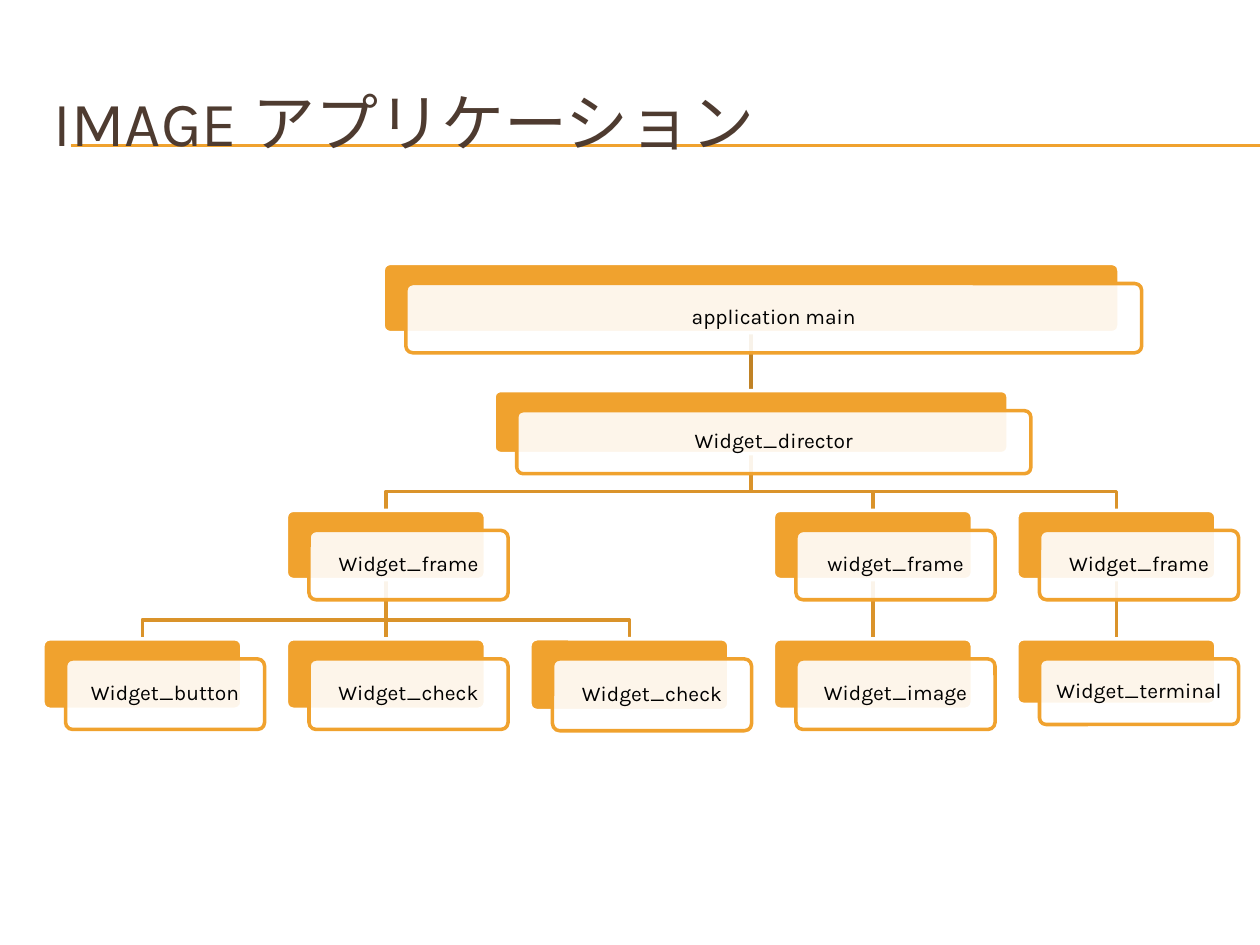
import pptx
import pptx.util
import pptx.dml.color
import pptx.enum.shapes
import pptx.enum.text
import pptx.oxml.ns
import pptx.oxml.xmlchemy
from pptx.util import Inches

HEX = {"gold": "F0A22E", "link": "DA932A", "stem": "C08225",
       "white": "FFFFFF", "black": "000000", "brown": "4E3B30"}
FONT = "Karla"
KIND = pptx.enum.shapes.MSO_SHAPE.ROUNDED_RECTANGLE
STRAIGHT = pptx.enum.shapes.MSO_CONNECTOR.STRAIGHT
ALIGN = pptx.enum.text.PP_ALIGN
MIDDLE = pptx.enum.text.MSO_ANCHOR.MIDDLE


def paint(shape, edge, width, fill=None):
    """Set line and fill, and drop the shadow."""
    shape.line.color.rgb = pptx.dml.color.RGBColor.from_string(HEX[edge])
    shape.line.width = pptx.util.Pt(width)
    if fill:
        shape.fill.solid()
        shape.fill.fore_color.rgb = pptx.dml.color.RGBColor.from_string(HEX[fill])
    shape._element.spPr.append(pptx.oxml.xmlchemy.OxmlElement("a:effectLst"))


def write(shape, text, size, color, align):
    """Put one line of text, centred in height, into a shape."""
    frame = shape.text_frame
    frame.word_wrap = True
    frame.vertical_anchor = MIDDLE
    para = frame.paragraphs[0]
    para.text = text
    para.alignment = align
    para.font.name = FONT
    para.font.size = pptx.util.Pt(size)
    para.font.color.rgb = pptx.dml.color.RGBColor.from_string(HEX[color])


deck = pptx.Presentation()
deck.slide_width, deck.slide_height = Inches(10), Inches(7.5)
slide = deck.slides.add_slide(deck.slide_layouts[6])
shapes = slide.shapes

# Rules under the title
for y in (1.15, 1.16):
    rule = shapes.add_connector(STRAIGHT, Inches(0.56), Inches(y), Inches(10), Inches(y))
    paint(rule, "gold", 0.75)

# Title
title = shapes.add_textbox(Inches(0.33), Inches(0.5), Inches(9.5), Inches(0.92))
write(title, "IMAGE アプリケーション", 36, "brown", ALIGN.LEFT)
base = len(shapes._spTree)

# Tree: name, column, row, width, height, parent
NODES = [
    ("application main", 2.5, 0, 5.84, 0.55, None),
    ("Widget_director", 2.5, 1, 4.08, 0.5, 0),
    ("Widget_frame", 1, 2, 1.58, 0.55, 1),
    ("Widget_button", 0, 3, 1.58, 0.56, 2),
    ("Widget_check", 1, 3, 1.58, 0.56, 2),
    ("Widget_check", 2, 3, 1.58, 0.57, 2),
    ("widget_frame", 3, 2, 1.58, 0.55, 1),
    ("Widget_image", 3, 3, 1.58, 0.56, 6),
    ("Widget_frame", 4, 2, 1.58, 0.55, 1),
    ("Widget_terminal", 4, 3, 1.58, 0.52, 8),
]
TOPS = [2.09, 3.1, 4.05, 5.07]
LEFT, LAST = 1.13, 8.86     # centres of the first and last column
STEP = (LAST - LEFT) / 4
SHIFT_X, SHIFT_Y = 0.18, 0.16

# Cards: a gold back and a pale front with the name
backs = []
for name, col, row, wide, high, _ in NODES:
    x, y = LEFT + col * STEP - wide / 2, TOPS[row]
    back = shapes.add_shape(KIND, Inches(x), Inches(y), Inches(wide), Inches(high))
    paint(back, "white", 2, "gold")
    front = shapes.add_shape(KIND, Inches(x + SHIFT_X), Inches(y + SHIFT_Y),
                             Inches(wide), Inches(high))
    paint(front, "gold", 2, "white")
    alpha = pptx.oxml.xmlchemy.OxmlElement("a:alpha")
    alpha.set("val", "90000")
    front._element.spPr.find(".//" + pptx.oxml.ns.qn("a:srgbClr")).append(alpha)
    for card in (back, front):
        card.adjustments[0] = 0.1
    frame = front.text_frame
    frame.margin_left = frame.margin_right = Inches(0.05)
    frame.margin_top = frame.margin_bottom = Inches(0.05)
    write(front, name, 12, "black", ALIGN.CENTER)
    frame.paragraphs[0].line_spacing = 0.9
    backs.append(back)

# Links, placed behind the cards
for child, (_, col, row, _, _, parent) in zip(backs, NODES):
    if parent is None:
        continue
    above = backs[parent]
    x1, x2 = (Inches(LEFT + c * STEP) for c in (NODES[parent][1], col))
    y1, y2 = above.top + above.height, child.top
    if x1 == x2:
        link = shapes.add_connector(STRAIGHT, x1, y1, x2, y2)
        link.begin_connect(above, 2)
        link.end_connect(child, 0)
    else:
        bar = y2 - Inches(0.15)
        route = shapes.build_freeform(x1, y1)
        route.add_line_segments([(x1, bar), (x2, bar), (x2, y2)], close=False)
        link = route.convert_to_shape()
        link.fill.background()
    paint(link, "stem" if row == 1 else "link", 2)
    shapes._spTree.insert(base, link._element)

deck.save("out.pptx")
